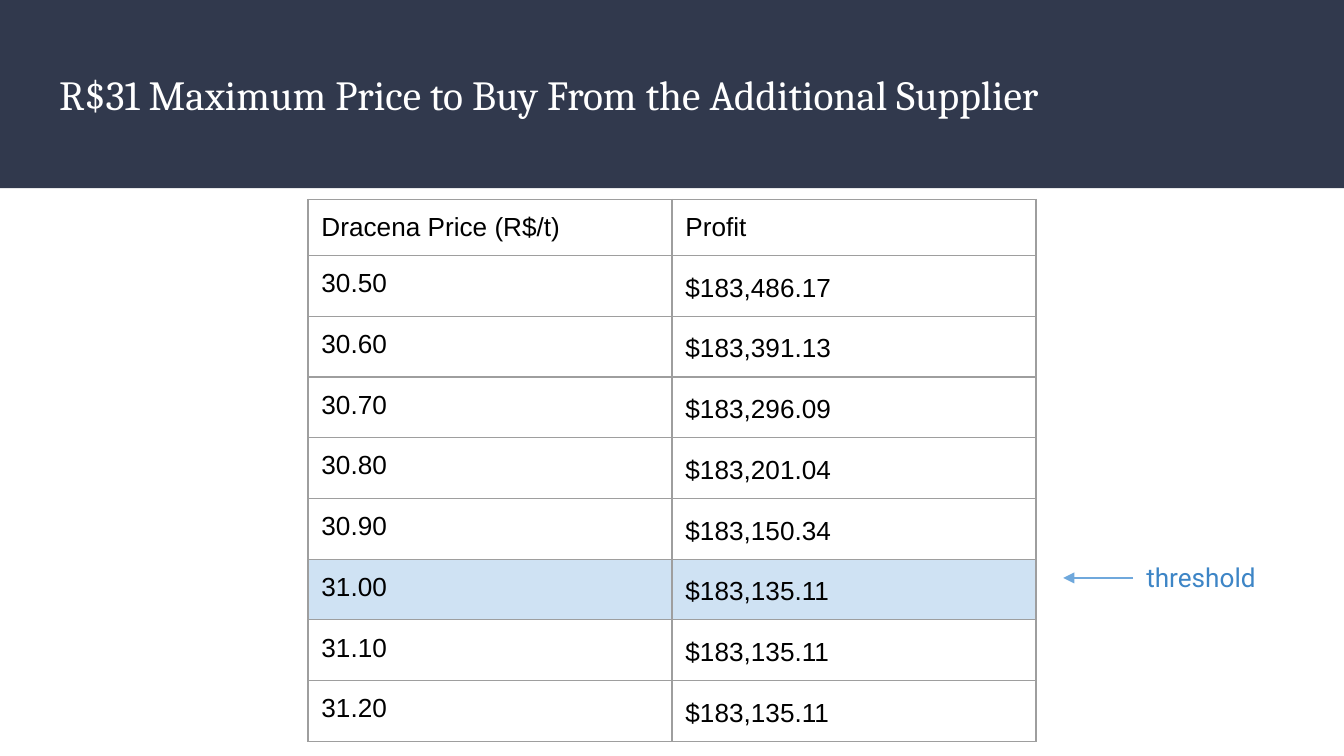
import pptx
import pptx.util
import pptx.dml.color
import pptx.enum.shapes
import pptx.enum.text
import pptx.oxml.ns
from dataclasses import dataclass
from lxml import etree

Pt = pptx.util.Pt

TITLE = "R$31 Maximum Price to Buy From the Additional Supplier"
HEADINGS = ("Dracena Price (R$/t)", "Profit")
PROFITS = [
    ("30.50", "$183,486.17"),
    ("30.60", "$183,391.13"),
    ("30.70", "$183,296.09"),
    ("30.80", "$183,201.04"),
    ("30.90", "$183,150.34"),
    ("31.00", "$183,135.11"),
    ("31.10", "$183,135.11"),
    ("31.20", "$183,135.11"),
]
THRESHOLD_PRICE = "31.00"
THRESHOLD_LABEL = "threshold"


@dataclass(frozen=True)
class Theme:
    band: str = "31394D"
    title: str = "FFFFFF"
    body: str = "000000"
    border: str = "9E9E9E"
    highlight: str = "CFE2F3"
    label: str = "3D85C6"
    arrow: str = "6FA8DC"
    title_font: str = "Cambria"
    body_font: str = "Arial"
    label_font: str = "Roboto"
    title_size: float = 22.2
    body_size: float = 14
    line_width: float = 0.75
    inset: float = 7.2


THEME = Theme()
SLIDE_WIDTH, SLIDE_HEIGHT = 720, 405
BAND_HEIGHT = 100.8
TITLE_BOX = (24.5, 27.4, 671, 49)
TABLE_LEFT, TABLE_TOP = 165, 106.8
COLUMN_WIDTH, ROW_HEIGHT = 195, 26
LABEL_BOX = (607, 293.8, 136, 31.7)
ARROW_LENGTH, ARROW_Y = 37.4, 309.6


def rgb(color):
    return pptx.dml.color.RGBColor.from_string(color)


def points(box):
    return [Pt(length) for length in box]


def set_insets(holder):
    for side in ("left", "top", "right", "bottom"):
        setattr(holder, f"margin_{side}", Pt(THEME.inset))


def write(frame, text, font, size, color):
    frame.text = text
    paragraph = frame.paragraphs[0]
    paragraph.alignment = pptx.enum.text.PP_ALIGN.LEFT
    paragraph.font.name = font
    paragraph.font.size = Pt(size)
    paragraph.font.color.rgb = rgb(color)
    return paragraph


def add_child(parent, tag, **attributes):
    return etree.SubElement(parent, pptx.oxml.ns.qn(tag), attributes)


def add_borders(cell):
    properties = cell._tc.get_or_add_tcPr()
    for position, tag in enumerate(("a:lnL", "a:lnR", "a:lnT", "a:lnB")):
        border = add_child(properties, tag, w=str(Pt(THEME.line_width)))
        add_child(add_child(border, "a:solidFill"), "a:srgbClr", val=THEME.border)
        properties.insert(position, border)


def add_title(slide):
    title = slide.shapes.title
    title.left, title.top, title.width, title.height = points(TITLE_BOX)
    frame = title.text_frame
    set_insets(frame)
    frame.word_wrap = True
    frame.auto_size = pptx.enum.text.MSO_AUTO_SIZE.NONE
    frame.vertical_anchor = pptx.enum.text.MSO_ANCHOR.MIDDLE
    heading = write(frame, TITLE, THEME.title_font, THEME.title_size, THEME.title)
    heading.line_spacing = 0.9

    band = slide.shapes.add_shape(
        pptx.enum.shapes.MSO_SHAPE.RECTANGLE, *points((0, 0, SLIDE_WIDTH, BAND_HEIGHT)))
    band.shadow.inherit = False
    band.fill.solid()
    band.fill.fore_color.rgb = rgb(THEME.band)
    band.line.fill.background()
    title.element.addprevious(band.element)


def add_profit_table(slide):
    rows = [HEADINGS, *PROFITS]
    size = (COLUMN_WIDTH * len(HEADINGS), ROW_HEIGHT * len(rows))
    table = slide.shapes.add_table(
        len(rows), len(HEADINGS), *points((TABLE_LEFT, TABLE_TOP, *size))).table
    table.first_row = table.horz_banding = False
    for row, values in enumerate(rows):
        for column, value in enumerate(values):
            cell = table.cell(row, column)
            set_insets(cell)
            entry = write(cell.text_frame, value,
                          THEME.body_font, THEME.body_size, THEME.body)
            if row and column:
                entry.line_spacing = 1.15
                entry.space_after = Pt(12)
            if values[0] == THRESHOLD_PRICE:
                cell.fill.solid()
                cell.fill.fore_color.rgb = rgb(THEME.highlight)
            else:
                cell.fill.background()
            add_borders(cell)


def add_threshold(slide):
    frame = slide.shapes.add_textbox(*points(LABEL_BOX)).text_frame
    set_insets(frame)
    frame.word_wrap = True
    frame.auto_size = pptx.enum.text.MSO_AUTO_SIZE.SHAPE_TO_FIT_TEXT
    write(frame, THRESHOLD_LABEL, THEME.label_font, THEME.body_size, THEME.label)

    start = LABEL_BOX[0]
    arrow = slide.shapes.add_connector(
        pptx.enum.shapes.MSO_CONNECTOR.STRAIGHT,
        *points((start, ARROW_Y, start - ARROW_LENGTH, ARROW_Y)))
    arrow.line.color.rgb = rgb(THEME.arrow)
    arrow.line.width = Pt(THEME.line_width)
    add_child(arrow.line._get_or_add_ln(), "a:tailEnd", type="triangle")
    add_child(arrow.element.spPr, "a:effectLst")


def main():
    presentation = pptx.Presentation()
    presentation.slide_width = Pt(SLIDE_WIDTH)
    presentation.slide_height = Pt(SLIDE_HEIGHT)
    slide = presentation.slides.add_slide(presentation.slide_layouts[5])
    add_title(slide)
    add_profit_table(slide)
    add_threshold(slide)
    presentation.save("out.pptx")


if __name__ == "__main__":
    main()
